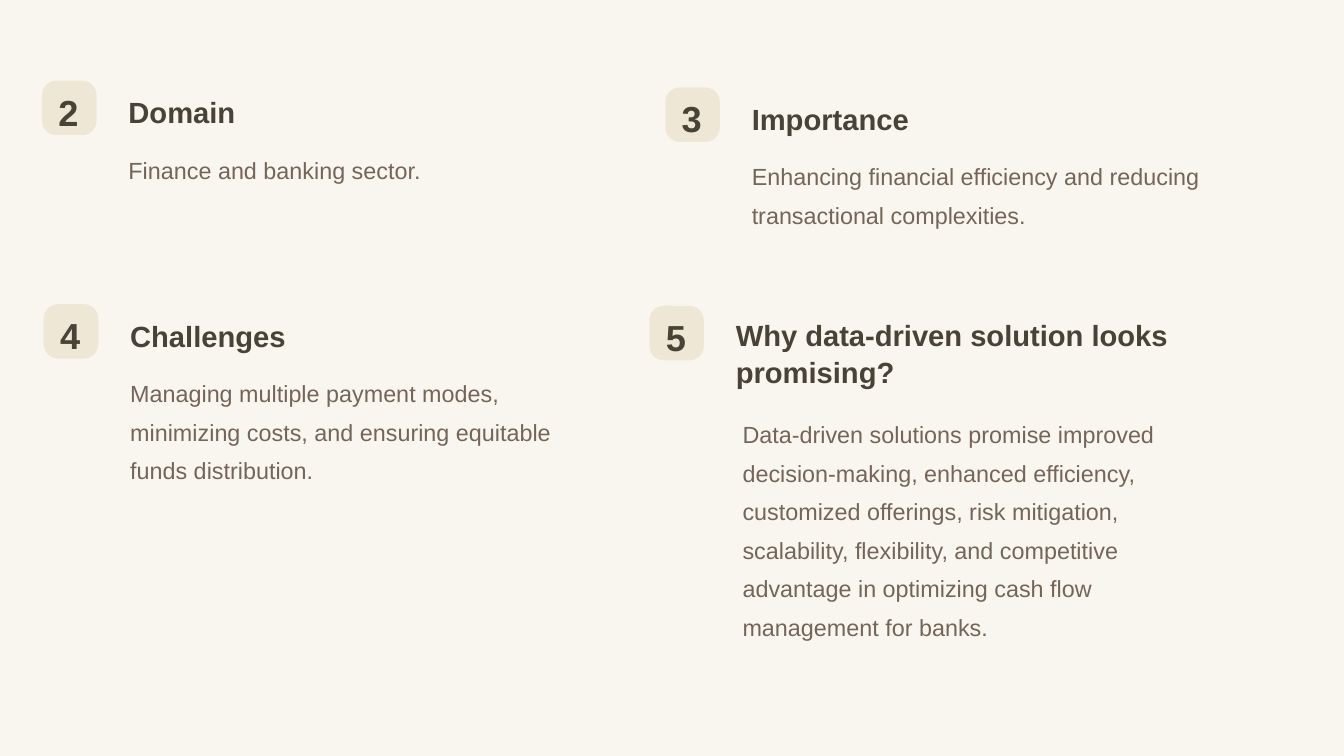
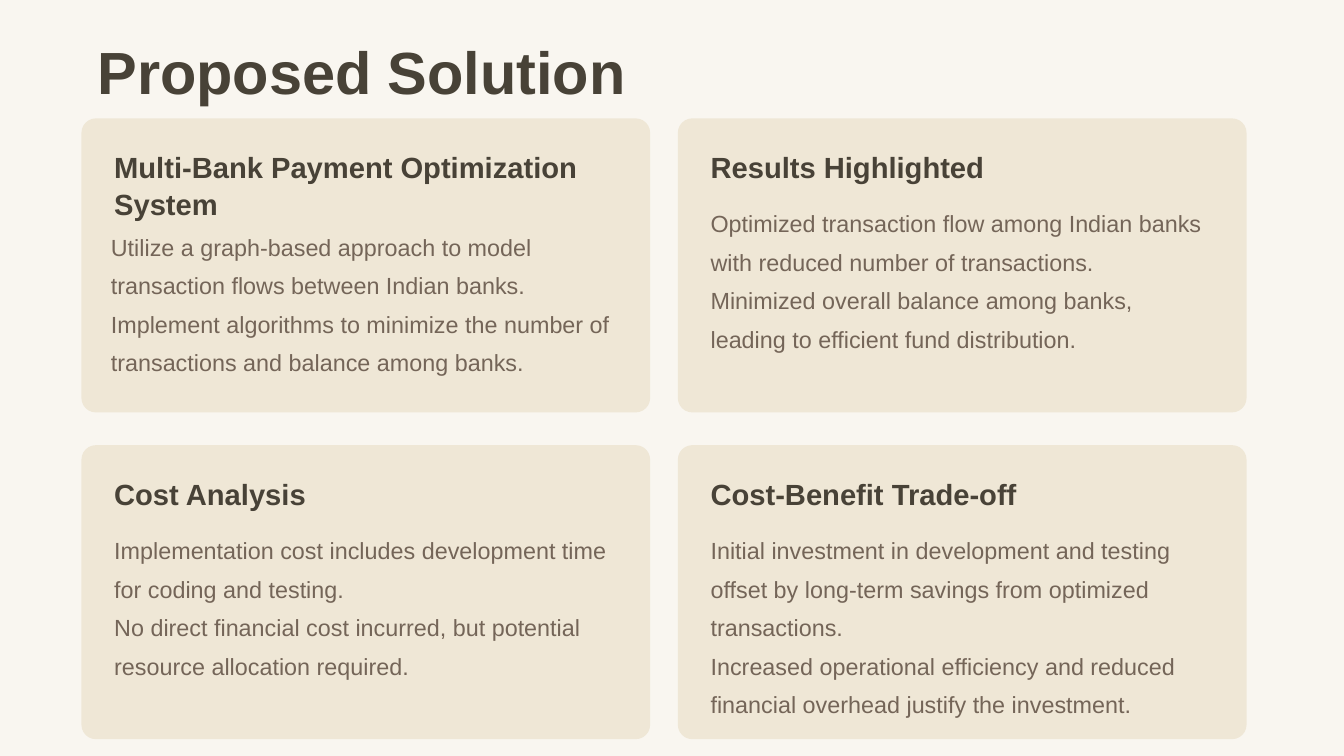
from dataclasses import dataclass
from pptx import Presentation
from pptx.dml.color import RGBColor as Rgb
from pptx.enum.shapes import MSO_SHAPE as Kind
from pptx.enum.text import MSO_ANCHOR as Anchor, MSO_AUTO_SIZE as Fit, PP_ALIGN as Align
from pptx.util import Inches, Pt


@dataclass(frozen=True)
class Theme:
    page: Rgb = Rgb.from_string("F9F6F0")
    card: Rgb = Rgb.from_string("EFE7D6")
    dark: Rgb = Rgb.from_string("484237")
    soft: Rgb = Rgb.from_string("746558")
    font: str = "Arial"
    inset: float = 0.05


look = Theme()
styles = {
    "title": dict(size=51, lead=64, bold=True, color=look.dark, align=Align.LEFT),
    "head": dict(size=25, lead=32, bold=True, color=look.dark, align=Align.LEFT),
    "body": dict(size=20, lead=33, bold=False, color=look.soft, align=Align.LEFT),
    "digit": dict(size=31, lead=38, bold=True, color=look.dark, align=Align.CENTER),
}


def write(slide, kind, lines, left, top, width, height, box=None, wrap=True):
    style = styles[kind]
    box = box or slide.shapes.add_textbox(0, 0, 0, 0)
    place = dict(left=left, top=top, width=width, height=height)
    for name, value in place.items():
        setattr(box, name, Inches(value))
    frame = box.text_frame
    frame.text = "\n".join(lines)
    for side in ("left", "top", "right", "bottom"):
        setattr(frame, f"margin_{side}", Inches(look.inset))
    form = dict(word_wrap=wrap, auto_size=Fit.NONE, vertical_anchor=Anchor.TOP)
    for name, value in form.items():
        setattr(frame, name, value)
    for para in frame.paragraphs:
        para.alignment = style["align"]
        para.line_spacing = Pt(style["lead"])
        para.space_before = Pt(0)
        font = para.runs[0].font
        face = dict(name=look.font, size=Pt(style["size"]), bold=style["bold"])
        for name, value in face.items():
            setattr(font, name, value)
        font.color.rgb = style["color"]


def panel(slide, left, top, width, height, curve):
    shape = slide.shapes.add_shape(
        Kind.ROUNDED_RECTANGLE, Inches(left), Inches(top), Inches(width), Inches(height))
    shape.adjustments[0] = curve
    shape.shadow.inherit = False
    shape.fill.solid()
    shape.fill.fore_color.rgb = look.card
    shape.line.fill.background()


deck = Presentation()
deck.slide_width, deck.slide_height = Inches(16), Inches(9)
fill = deck.slide_master.background.fill
fill.solid()
fill.fore_color.rgb = look.page

points = [
    dict(at=(0.5, 0.96), digit="2", head="Domain", body="Finance and banking sector."),
    dict(at=(7.92, 1.04), digit="3", head="Importance",
         body="Enhancing financial efficiency and reducing transactional complexities."),
    dict(at=(0.52, 3.62), digit="4", head="Challenges",
         body="Managing multiple payment modes, minimizing costs, "
              "and ensuring equitable funds distribution."),
    dict(at=(7.73, 3.64), digit="5", head="Why data-driven solution looks promising?",
         body="Data-driven solutions promise improved decision-making, enhanced efficiency, "
              "customized offerings, risk mitigation, scalability, flexibility, and competitive "
              "advantage in optimizing cash flow management for banks.",
         rise=0.06, tall=0.97, shift=(1.06, 1.19), deep=2.82),
]
slide = deck.slides.add_slide(deck.slide_layouts[6])
for point in points:
    left, top = point["at"]
    over, down = point.get("shift", (0.98, 0.72))
    panel(slide, left, top, 0.65, 0.65, 0.267)
    write(slide, "digit", [point["digit"]], left + 0.14, top + 0.05, 0.35, 0.61, wrap=False)
    write(slide, "head", [point["head"]], left + 0.98, top + point.get("rise", 0.09),
          6.1, point.get("tall", 0.53))
    write(slide, "body", [point["body"]], left + over, top + down, 5.74, point.get("deep", 1.44))

cards = [
    dict(head="Multi-Bank Payment Optimization System", tall=0.97, shift=(0.3, 1.19),
         body=["Utilize a graph-based approach to model transaction flows between Indian banks.",
               "Implement algorithms to minimize the number of transactions "
               "and balance among banks."]),
    dict(head="Results Highlighted",
         body=["Optimized transaction flow among Indian banks with reduced number of transactions.",
               "Minimized overall balance among banks, leading to efficient fund distribution."]),
    dict(head="Cost Analysis",
         body=["Implementation cost includes development time for coding and testing.",
               "No direct financial cost incurred, but potential resource allocation required."]),
    dict(head="Cost-Benefit Trade-off", deep=2.82,
         body=["Initial investment in development and testing offset by long-term savings "
               "from optimized transactions.",
               "Increased operational efficiency and reduced financial overhead "
               "justify the investment."]),
]
slide = deck.slides.add_slide(deck.slide_layouts[5])
write(slide, "title", ["Proposed Solution"], 1.11, 0.33, 6.41, 0.96,
      box=slide.shapes.title, wrap=False)
for spot, card in enumerate(cards):
    row, col = divmod(spot, 2)
    left, top = 0.97 + col * 7.1, 1.41 + row * 3.89
    over, down = card.get("shift", (0.34, 0.91))
    panel(slide, left, top, 6.77, 3.5, 0.049)
    write(slide, "head", [card["head"]], left + 0.34, top + 0.29, 6.1, card.get("tall", 0.53))
    write(slide, "body", card["body"], left + over, top + down, 6.1, card.get("deep", 2.36))

deck.save("out.pptx")
